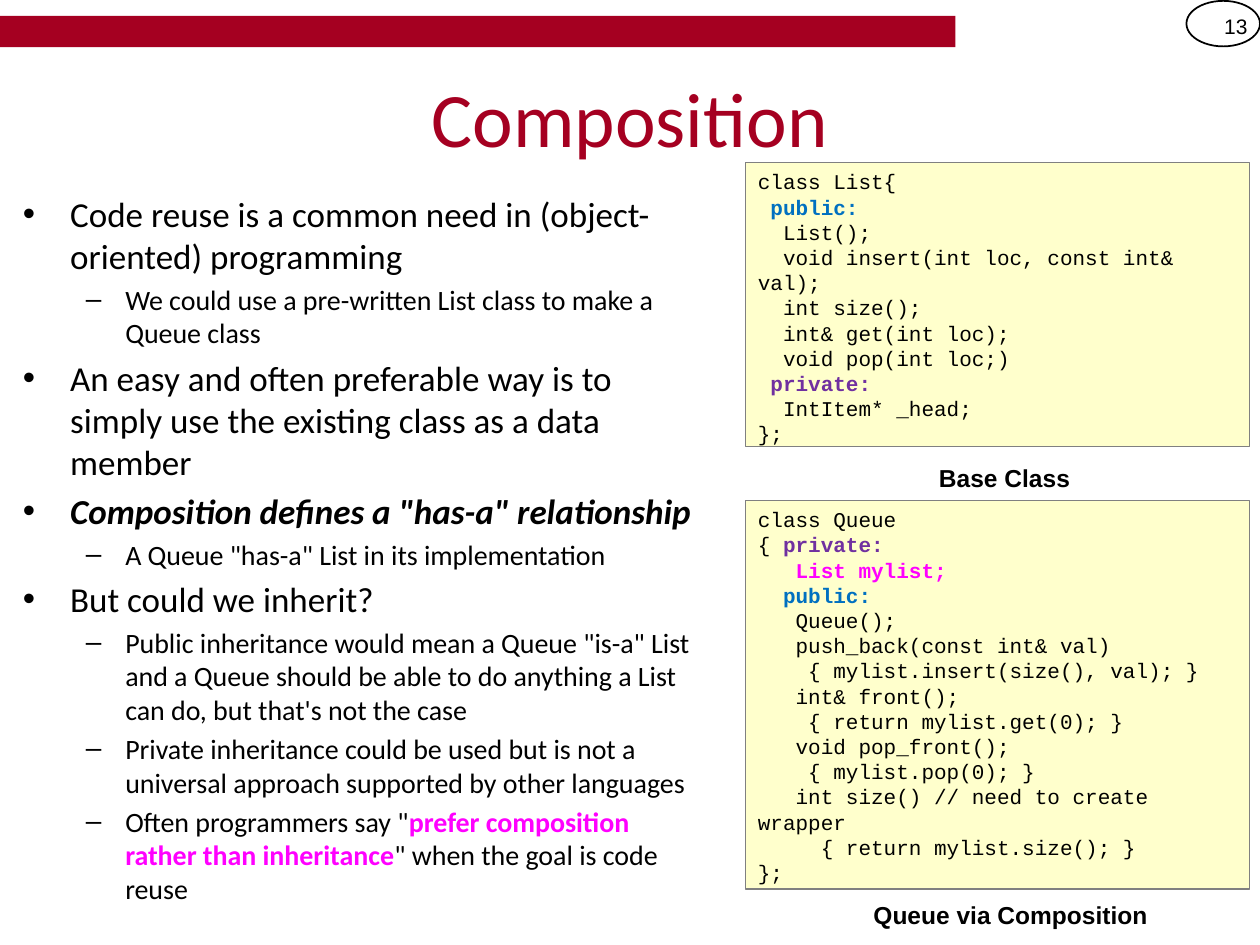
from pptx import Presentation
from pptx.dml.color import RGBColor
from pptx.enum.shapes import MSO_SHAPE as Shape
from pptx.enum.text import MSO_ANCHOR as Anchor, PP_ALIGN as Align
from pptx.oxml.ns import qn
from pptx.util import Pt
from lxml.etree import SubElement

CRIMSON, BLACK, CREAM, GRAY = "A50021", "000000", "FFFFCC", "808080"
BLUE, PURPLE, PINK = "0070C0", "7030A0", "FF00FF"


def color(value):
    return RGBColor.from_string(value)


class SlideBuilder:
    # Run formats, chosen by name
    styles = {
        "public": {"bold": True, "color": BLUE},
        "private": {"bold": True, "color": PURPLE},
        "key": {"bold": True, "color": PINK},
        "definition": {"bold": True, "italic": True},
        "caption": {"bold": True},
    }
    # Bullet, font size, left margin, hanging indent and space before, by level
    levels = [("•", 20, 27, -27, 4), ("–", 16, 58.5, -22.5, 3.2)]

    def __init__(self, slide):
        self.slide = slide

    def add_runs(self, paragraph, runs, font, size, base=BLACK):
        if isinstance(runs, str):
            runs = [(runs, None)]
        for text, style in runs:
            run = paragraph.add_run()
            run.text = text
            values = {"name": font, "size": Pt(size), "bold": False, "color": base}
            values.update(self.styles.get(style, {}))
            run.font.color.rgb = color(values.pop("color"))
            for attribute, value in values.items():
                setattr(run.font, attribute, value)

    def paragraphs(self, frame, count):
        return [frame.paragraphs[0]] + [frame.add_paragraph() for _ in range(count - 1)]

    def frame(self, box, anchor=Anchor.TOP):
        frame = box.text_frame
        frame.word_wrap = True
        frame.vertical_anchor = anchor
        return frame

    def shape(self, kind, area, fill=None, line=None, width=1):
        shape = self.slide.shapes.add_shape(kind, *map(Pt, area))
        shape.shadow.inherit = False
        if fill:
            shape.fill.solid()
            shape.fill.fore_color.rgb = color(fill)
        else:
            shape.fill.background()
        if line:
            shape.line.color.rgb = color(line)
            shape.line.width = Pt(width)
        else:
            shape.line.fill.background()
        return shape

    def label(self, area, runs, font, size, align=Align.CENTER, base=BLACK):
        box = self.slide.shapes.add_textbox(*map(Pt, area))
        paragraph = self.frame(box, Anchor.MIDDLE).paragraphs[0]
        paragraph.alignment = align
        self.add_runs(paragraph, runs, font, size, base)

    def bullets(self, area, items):
        frame = self.frame(self.slide.shapes.add_textbox(*map(Pt, area)))
        for paragraph, (level, runs) in zip(self.paragraphs(frame, len(items)), items):
            mark, size, margin, indent, before = self.levels[level]
            paragraph.level = level
            paragraph.space_before = Pt(before)
            properties = paragraph._p.get_or_add_pPr()
            properties.set("marL", str(Pt(margin)))
            properties.set("indent", str(Pt(indent)))
            SubElement(properties, qn("a:buFont")).set("typeface", "Arial")
            SubElement(properties, qn("a:buChar")).set("char", mark)
            self.add_runs(paragraph, runs, "Calibri", size)

    def code(self, area, lines):
        frame = self.frame(self.shape(Shape.RECTANGLE, area, CREAM, GRAY, 0.75))
        for paragraph, runs in zip(self.paragraphs(frame, len(lines)), lines):
            paragraph.alignment = Align.LEFT
            self.add_runs(paragraph, runs, "Courier New", 12)


presentation = Presentation()
presentation.slide_width, presentation.slide_height = Pt(720), Pt(540)
page = SlideBuilder(presentation.slides.add_slide(presentation.slide_layouts[6]))

# Header band, page number and title
page.label((678, 0.5, 42, 29), "13", "Arial", 12, Align.RIGHT)
page.shape(Shape.RECTANGLE, (0, 9, 546, 18), CRIMSON)
page.shape(Shape.OVAL, (678, 0.5, 42, 26), line=BLACK)
page.label((36, 21.6, 648, 90), "Composition", "Calibri", 44, base=CRIMSON)

# Argument
page.bullets((6, 106.5, 402, 392.5), [
    (0, "Code reuse is a common need in (object-oriented) programming"),
    (1, "We could use a pre-written List class to make a Queue class"),
    (0, "An easy and often preferable way is to simply use the existing class "
        "as a data member"),
    (0, [('Composition defines a "has-a" relationship', "definition")]),
    (1, 'A Queue "has-a" List in its implementation'),
    (0, "But could we inherit?"),
    (1, 'Public inheritance would mean a Queue "is-a" List and a Queue should '
        "be able to do anything a List can do, but that's not the case"),
    (1, "Private inheritance could be used but is not a universal approach "
        "supported by other languages"),
    (1, [('Often programmers say "', None),
         ("prefer composition rather than inheritance", "key"),
         ('" when the goal is code reuse', None)]),
])

# Queue class
page.code((426, 286, 288, 222), [
    "class Queue",
    [("{ ", None), ("private:", "private")],
    [("   List mylist;", "key")],
    [("  public:", "public")],
    "   Queue();",
    "   push_back(const int& val)",
    "    { mylist.insert(size(), val); }",
    "   int& front();",
    "    { return mylist.get(0); }",
    "   void pop_front();",
    "    { mylist.pop(0); }",
    "   int size() // need to create wrapper",
    "     { return mylist.size(); }",
    "};",
])

# List class
page.code((426, 93, 288, 162), [
    "class List{",
    [(" public:", "public")],
    "  List();",
    "  void insert(int loc, const int& val);",
    "  int size();",
    "  int& get(int loc);",
    "  void pop(int loc;)",
    [(" private:", "private")],
    "  IntItem* _head;",
    "};",
])

# Captions
for area, caption in [((468, 258, 216, 30), "Base Class "),
                      ((469.5, 507.5, 216, 30), "Queue via Composition")]:
    page.label(area, [(caption, "caption")], "Arial", 14)

presentation.save("out.pptx")
